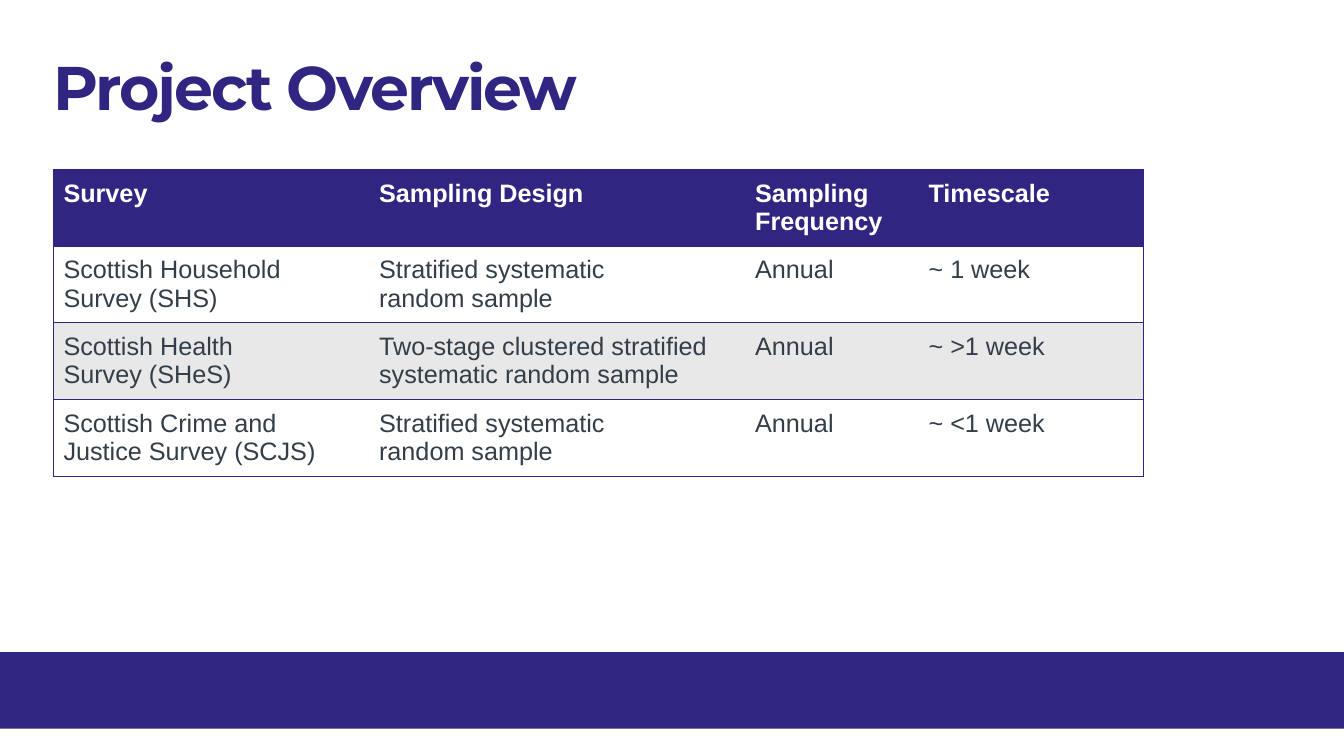
import pptx
import pptx.dml.color
import pptx.enum.shapes
import pptx.enum.text
import pptx.oxml.ns
import pptx.util
from lxml import etree
from pptx.util import Inches

INDIGO = "302682"
SLATE = "333E48"
WHITE = "FFFFFF"
GREY = "E8E8E9"

COLUMN_WIDTHS = [3.13, 3.73, 1.72, 2.23]
ROW_HEIGHT = 0.76
SURVEY_ROWS = [
    ["Survey", "Sampling Design", "Sampling Frequency", "Timescale"],
    ["Scottish Household\nSurvey (SHS)", "Stratified systematic\nrandom sample",
     "Annual", "~ 1 week"],
    ["Scottish Health\nSurvey (SHeS)",
     "Two-stage clustered stratified systematic random sample",
     "Annual", "~ >1 week"],
    ["Scottish Crime and Justice Survey (SCJS)",
     "Stratified systematic\nrandom sample", "Annual", "~ <1 week"],
]


def color(value):
    return pptx.dml.color.RGBColor.from_string(value)


def write_text(frame, text, size, font, fill, bold=False, line_spacing=1.0,
               tracking=None, margin=0.0):
    frame.word_wrap = True
    frame.margin_left = frame.margin_right = Inches(margin)
    frame.margin_top = frame.margin_bottom = Inches(margin)
    for index, line in enumerate(text.split("\n")):
        para = frame.add_paragraph() if index else frame.paragraphs[0]
        para.alignment = pptx.enum.text.PP_ALIGN.LEFT
        para.line_spacing = line_spacing
        span = para.add_run()
        span.text = line
        span.font.size = pptx.util.Pt(size)
        span.font.name = font
        span.font.bold = bold
        span.font.color.rgb = color(fill)
        if tracking is not None:
            span.font._element.set("spc", str(round(tracking * 100)))


def set_borders(cell, visible_sides):
    properties = cell._tc.get_or_add_tcPr()
    qn = pptx.oxml.ns.qn
    for side in "LRTB":
        line = etree.SubElement(properties, qn(f"a:ln{side}"))
        if side in visible_sides:
            line.set("w", str(pptx.util.Pt(0.5)))
            solid = etree.SubElement(line, qn("a:solidFill"))
            etree.SubElement(solid, qn("a:srgbClr"), val=INDIGO)
        else:
            etree.SubElement(line, qn("a:noFill"))


def add_footer_band(page, left, top, width, height):
    band = page.shapes.add_shape(
        pptx.enum.shapes.MSO_SHAPE.RECTANGLE,
        Inches(left), Inches(top), Inches(width), Inches(height))
    band.shadow.inherit = False
    band.fill.solid()
    band.fill.fore_color.rgb = color(INDIGO)
    band.line.fill.background()


def add_title(page, left, top, width, height):
    title = page.shapes.title
    title.left, title.top = Inches(left), Inches(top)
    title.width, title.height = Inches(width), Inches(height)
    frame = title.text_frame
    frame.auto_size = pptx.enum.text.MSO_AUTO_SIZE.NONE
    frame.vertical_anchor = pptx.enum.text.MSO_ANCHOR.TOP
    write_text(frame, "Project Overview", size=44, font="Montserrat",
               fill=INDIGO, bold=True, line_spacing=0.9, tracking=-1.5)


def add_survey_table(page, left, top, width, height):
    table = page.shapes.add_table(
        len(SURVEY_ROWS), len(COLUMN_WIDTHS),
        Inches(left), Inches(top), Inches(width), Inches(height)).table
    table.horz_banding = False
    for column, column_width in zip(table.columns, COLUMN_WIDTHS):
        column.width = Inches(column_width)
    last_column = len(COLUMN_WIDTHS) - 1
    for row_index, texts in enumerate(SURVEY_ROWS):
        table.rows[row_index].height = Inches(height / len(SURVEY_ROWS))
        header = row_index == 0
        for column_index, text in enumerate(texts):
            cell = table.cell(row_index, column_index)
            sides = "TB"
            if column_index == 0:
                sides += "L"
            if column_index == last_column:
                sides += "R"
            set_borders(cell, sides)
            if header or row_index % 2 == 0:
                cell.fill.solid()
                cell.fill.fore_color.rgb = color(INDIGO if header else GREY)
            else:
                cell.fill.background()
            cell.margin_left = cell.margin_right = Inches(0.1)
            cell.margin_top = cell.margin_bottom = Inches(0.1)
            cell.vertical_anchor = pptx.enum.text.MSO_ANCHOR.TOP
            write_text(cell.text_frame, text, size=18, font="Arial",
                       fill=WHITE if header else SLATE, bold=header, margin=0.1)


def main():
    deck = pptx.Presentation()
    deck.slide_width, deck.slide_height = Inches(13.33), Inches(7.5)
    page = deck.slides.add_slide(deck.slide_layouts[5])
    add_footer_band(page, 0, 6.47, 13.33, 0.76)
    add_title(page, 0.53, 0.57, 10.69, 0.79)
    add_survey_table(page, 0.53, 1.68, sum(COLUMN_WIDTHS),
                     ROW_HEIGHT * len(SURVEY_ROWS))
    deck.save("out.pptx")


if __name__ == "__main__":
    main()
